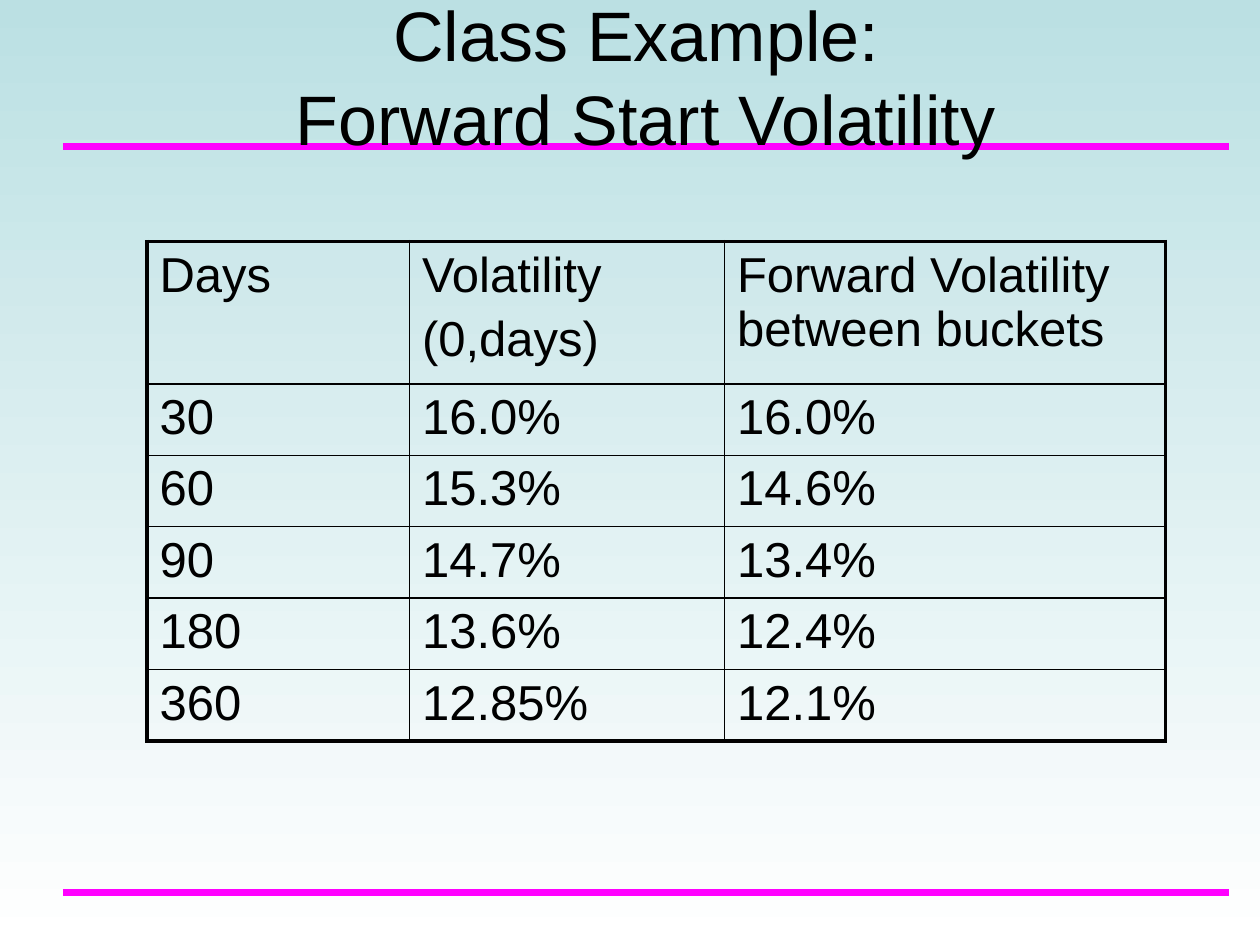
import pptx
import pptx.dml.color
import pptx.enum.shapes
import pptx.enum.text
import pptx.oxml
import pptx.oxml.ns
import pptx.util
from dataclasses import dataclass

Pt = pptx.util.Pt


@dataclass(frozen=True)
class Theme:
    font: str = "Arial"
    ink: str = "000000"
    rule: str = "FF00FF"
    sky: str = "BBE0E3"
    paper: str = "FFFFFF"
    title_size: float = 40
    table_size: float = 28
    paragraph_gap: float = 5.6
    rule_width: float = 4
    inner_border: float = 1
    outer_border: float = 2.25


def rgb(code):
    return pptx.dml.color.RGBColor.from_string(code)


class SlideBuilder:
    def __init__(self, slide, theme):
        self.slide = slide
        self.theme = theme

    def background(self):
        fill = self.slide.background.fill
        fill.gradient()
        fill.gradient_angle = 270
        colors = (self.theme.sky, self.theme.paper)
        for position, (stop, color) in enumerate(zip(fill.gradient_stops, colors)):
            stop.position = position
            stop.color.rgb = rgb(color)

    def run(self, para, text, size):
        span = para.add_run()
        span.text = text
        span.font.name = self.theme.font
        span.font.size = Pt(size)
        span.font.color.rgb = rgb(self.theme.ink)

    def rule(self, left, right, y):
        line = self.slide.shapes.add_connector(
            pptx.enum.shapes.MSO_CONNECTOR.STRAIGHT, Pt(left), Pt(y), Pt(right), Pt(y))
        line.line.color.rgb = rgb(self.theme.rule)
        line.line.width = Pt(self.theme.rule_width)
        properties = line._element.spPr
        properties.append(pptx.oxml.parse_xml(
            f"<a:effectLst {pptx.oxml.ns.nsdecls('a')}/>"))

    def title(self, lines, left, top, width, height):
        box = self.slide.shapes.title
        box.left, box.top, box.width, box.height = map(Pt, (left, top, width, height))
        frame = box.text_frame
        frame.word_wrap = True
        frame.auto_size = pptx.enum.text.MSO_AUTO_SIZE.NONE
        frame.vertical_anchor = pptx.enum.text.MSO_ANCHOR.MIDDLE
        para = frame.paragraphs[0]
        para.alignment = pptx.enum.text.PP_ALIGN.CENTER
        for index, line in enumerate(lines):
            if index:
                para.add_line_break()
            self.run(para, line, self.theme.title_size)
        # Keep the title in front of the rules
        self.slide.shapes._spTree.append(box._element)

    def borders(self, cell, outer_sides):
        properties = cell._tc.get_or_add_tcPr()
        for index, side in enumerate("LRTB"):
            width = (self.theme.outer_border if side in outer_sides
                     else self.theme.inner_border)
            properties.insert(index, pptx.oxml.parse_xml(
                f'<a:ln{side} {pptx.oxml.ns.nsdecls("a")} w="{Pt(width)}">'
                f'<a:solidFill><a:srgbClr val="{self.theme.ink}"/></a:solidFill>'
                f'</a:ln{side}>'))

    def cell(self, cell, text, outer_sides):
        cell.fill.background()
        self.borders(cell, outer_sides)
        frame = cell.text_frame
        for index, line in enumerate(text.split("\n")):
            para = frame.add_paragraph() if index else frame.paragraphs[0]
            if index:
                para.space_before = Pt(self.theme.paragraph_gap)
            self.run(para, line, self.theme.table_size)

    def table(self, rows, left, top, widths, heights):
        table = self.slide.shapes.add_table(
            len(heights), len(widths), Pt(left), Pt(top),
            Pt(sum(widths)), Pt(sum(heights))).table
        table.first_row = table.horz_banding = False
        for column, width in zip(table.columns, widths):
            column.width = Pt(width)
        for row, height in zip(table.rows, heights):
            row.height = Pt(height)
        for r, row in enumerate(rows):
            for c, text in enumerate(row):
                edges = {"L": c == 0, "R": c == len(widths) - 1,
                         "T": r == 0, "B": r == len(rows) - 1}
                outer_sides = [side for side, is_outer in edges.items() if is_outer]
                self.cell(table.cell(r, c), text, outer_sides)


VOLATILITIES = [
    ("Days", "Volatility\n(0,days)", "Forward Volatility between buckets"),
    ("30", "16.0%", "16.0%"),
    ("60", "15.3%", "14.6%"),
    ("90", "14.7%", "13.4%"),
    ("180", "13.6%", "12.4%"),
    ("360", "12.85%", "12.1%"),
]


def main():
    deck = pptx.Presentation()
    deck.slide_width, deck.slide_height = Pt(720), Pt(540)
    page = SlideBuilder(deck.slides.add_slide(deck.slide_layouts[5]), Theme())

    # Background and the two rules
    page.background()
    for y in (84, 510):
        page.rule(36, 702, y)

    # Title
    page.title(("Class Example: ", "Forward Start Volatility"), 36, 18, 666, 50.4)

    # Volatility table
    page.table(VOLATILITIES, 84, 138, (150, 180, 252), (81.4,) + (40.8,) * 5)

    deck.save("out.pptx")


if __name__ == "__main__":
    main()
